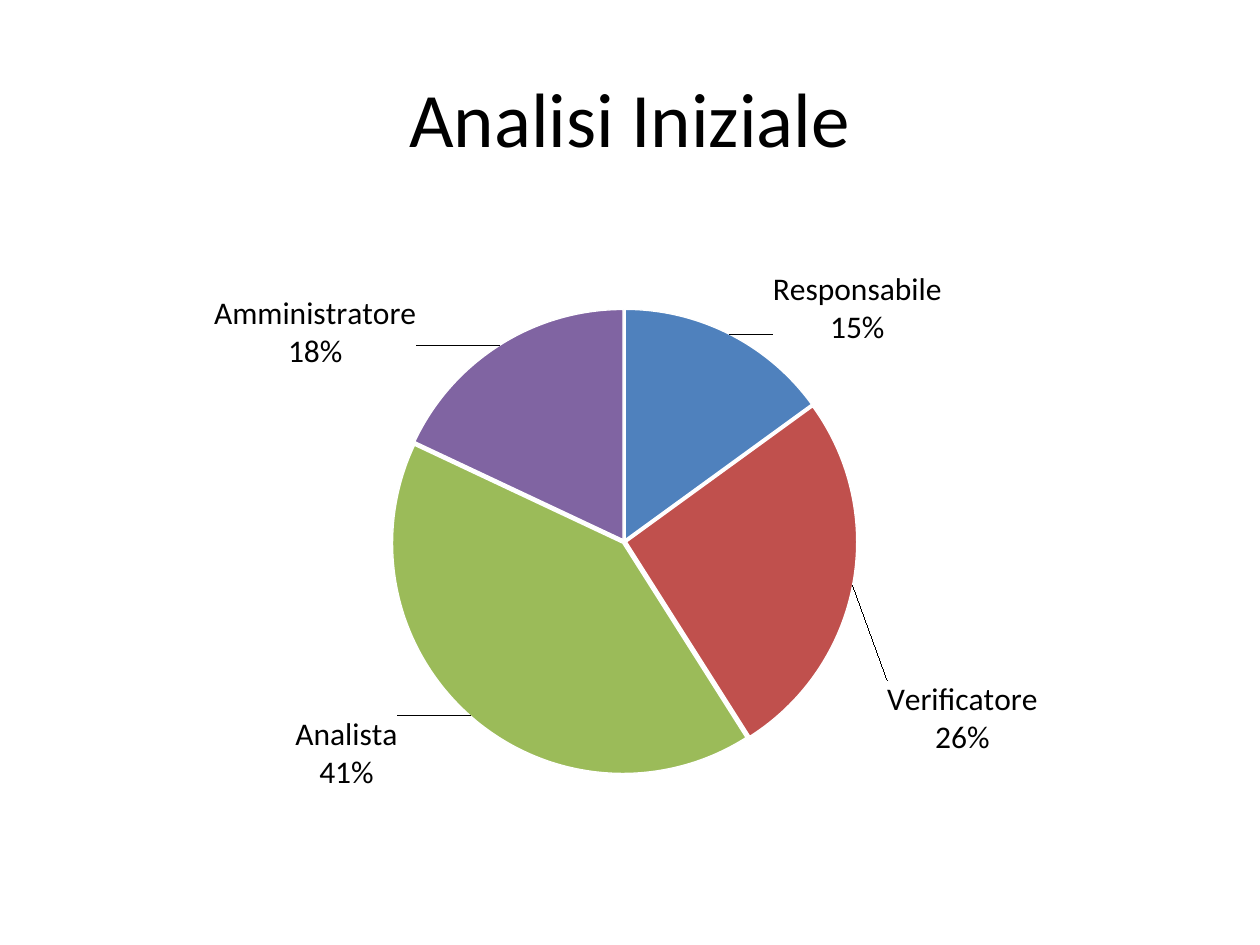
from dataclasses import dataclass

from lxml import etree
from pptx import Presentation
from pptx import util as u
from pptx.chart import data as chart_data
from pptx.dml import color
from pptx.enum import chart as chart_enum, text
from pptx.oxml import ns


@dataclass(frozen=True)
class Theme:
    font: str = "Calibri"
    title_size: int = 44
    label_size: int = 18
    ink: str = "000000"
    paper: str = "FFFFFF"


THEME = Theme()
WIDTH, HEIGHT = u.Inches(10), u.Inches(7.5)

# Role, percentage, colour, label shift as shares of the chart
ROLES = [
    ("Responsabile", 15, "4F81BD", (0.035, 0.03)),
    ("Verificatore", 26, "C0504D", (0.024, 0.15)),
    ("Analista", 41, "9BBB59", (-0.06, -0.01)),
    ("Amministratore", 18, "8064A2", (-0.07, 0.05)),
]
PIE_AREA = {"x": 0.29, "y": 0.14, "w": 0.41, "h": 0.75}


def rgb(value):
    return color.RGBColor.from_string(value)


def share_box(left, top, width, height):
    """Turn shares of the slide into lengths."""
    return (int(left * WIDTH), int(top * HEIGHT),
            int(width * WIDTH), int(height * HEIGHT))


def style_font(font, size):
    font.name = THEME.font
    font.size = u.Pt(size)
    font.color.rgb = rgb(THEME.ink)


def chart_element(tag, value=None):
    element = etree.Element(ns.qn("c:" + tag))
    if value is not None:
        element.set("val", str(value))
    return element


def manual_layout(values, inner=False):
    layout = chart_element("layout")
    manual = chart_element("manualLayout")
    layout.append(manual)
    if inner:
        manual.append(chart_element("layoutTarget", "inner"))
        for axis in "xy":
            manual.append(chart_element(axis + "Mode", "edge"))
    for name, value in values.items():
        manual.append(chart_element(name, value))
    return layout


def add_title(slide, box, words):
    frame = slide.shapes.add_textbox(*box).text_frame
    frame.word_wrap = True
    frame.vertical_anchor = text.MSO_ANCHOR.MIDDLE
    paragraph = frame.paragraphs[0]
    paragraph.alignment = text.PP_ALIGN.CENTER
    run = paragraph.add_run()
    run.text = words
    style_font(run.font, THEME.title_size)


def show_role_and_share(labels):
    """Set name and percentage on two lines in a label element."""
    shown = {"showLegendKey": 0, "showVal": 0, "showCatName": 1,
             "showSerName": 0, "showPercent": 1}
    for name, value in shown.items():
        labels.find(ns.qn("c:" + name)).set("val", str(value))
    separator = chart_element("separator")
    separator.text = "\n"
    last = labels.find(ns.qn("c:showBubbleSize"))
    if last is None:
        last = labels.find(ns.qn("c:showPercent"))
    last.addnext(separator)


def add_role_pie(slide, box):
    values = chart_data.CategoryChartData()
    values.categories = [role[0] for role in ROLES]
    values.add_series("Series 1", [role[1] for role in ROLES])
    chart = slide.shapes.add_chart(
        chart_enum.XL_CHART_TYPE.PIE, *box, values).chart
    chart.has_title = False
    chart.has_legend = False
    style_font(chart.font, THEME.label_size)
    plot = chart.plots[0]
    plot.vary_by_categories = True
    series = plot.series[0]
    outside = chart_enum.XL_LABEL_POSITION.OUTSIDE_END

    # Slices and their labels
    series.data_labels.position = outside
    style_font(series.data_labels.font, THEME.label_size)
    for index, (_, _, fill, _) in enumerate(ROLES):
        point = series.points[index]
        point.format.fill.solid()
        point.format.fill.fore_color.rgb = rgb(fill)
        point.format.line.color.rgb = rgb(THEME.paper)
        point.format.line.width = u.Pt(0.75)
        point.data_label.position = outside
        style_font(point.data_label.font, THEME.label_size)

    # Label contents and shifts
    root = series._element
    group = root.find(ns.qn("c:dLbls"))
    show_role_and_share(group)
    for label, role in zip(group.findall(ns.qn("c:dLbl")), ROLES):
        show_role_and_share(label)
        label.find(ns.qn("c:idx")).addnext(
            manual_layout(dict(zip("xy", role[3]))))

    # Slight gap between slices
    root.find(ns.qn("c:dPt")).addprevious(chart_element("explosion", 1))
    for slice_element in root.findall(ns.qn("c:dPt")):
        slice_element.find(ns.qn("c:spPr")).addprevious(
            chart_element("explosion", 1))

    # Place of the pie inside the chart
    area = root.getparent().getparent()
    for layout in area.findall(ns.qn("c:layout")):
        area.remove(layout)
    area.insert(0, manual_layout(PIE_AREA, inner=True))


def build():
    presentation = Presentation()
    presentation.slide_width, presentation.slide_height = WIDTH, HEIGHT
    slide = presentation.slides.add_slide(presentation.slide_layouts[6])
    slide.background.fill.solid()
    slide.background.fill.fore_color.rgb = rgb(THEME.paper)
    add_title(slide, share_box(0.05, 0.04, 0.9, 1 / 6), "Analisi Iniziale")
    add_role_pie(slide, share_box(0.05, 7 / 30, 0.9, 0.66))
    presentation.save("out.pptx")


build()
